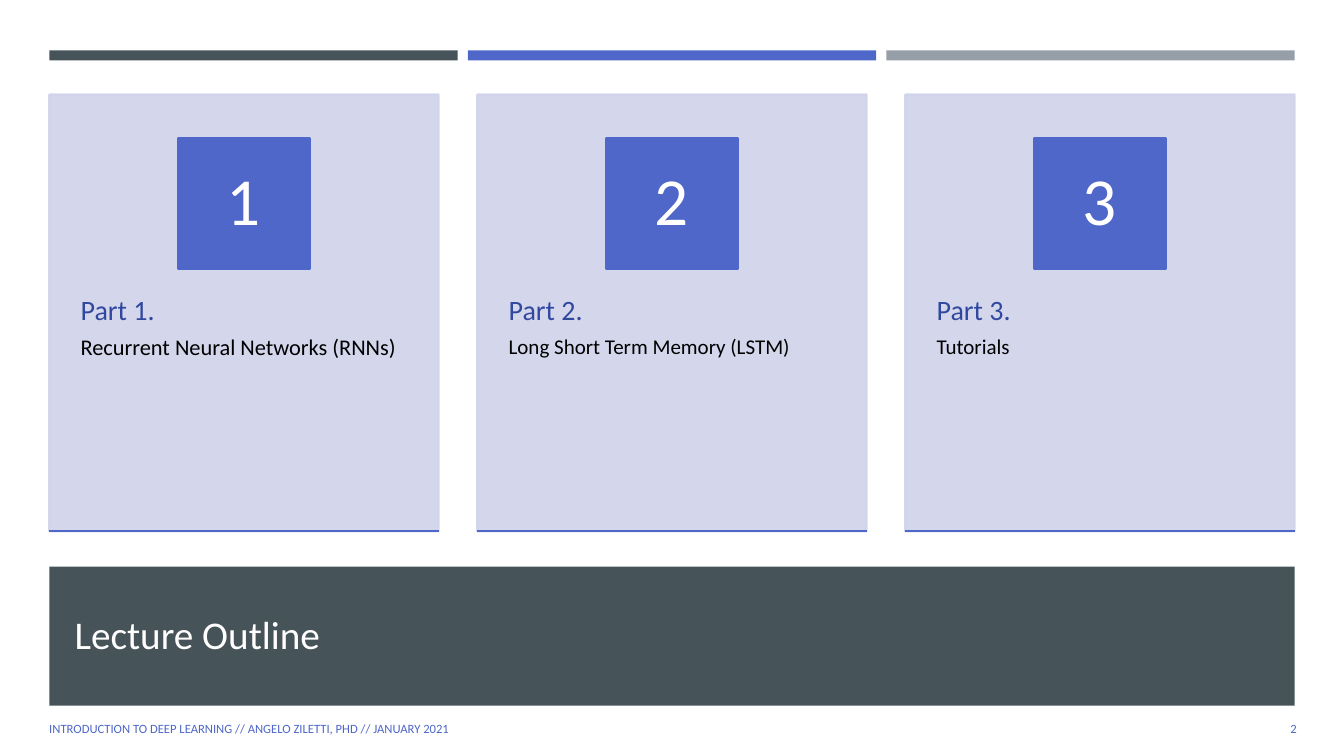
import pptx
import pptx.util
import pptx.dml.color
import pptx.enum.shapes
import pptx.enum.text
import pptx.oxml
import pptx.oxml.ns

Inches = pptx.util.Inches
Pt = pptx.util.Pt
RGBColor = pptx.dml.color.RGBColor
Align = pptx.enum.text.PP_ALIGN
Anchor = pptx.enum.text.MSO_ANCHOR

SLATE = RGBColor(0x46, 0x53, 0x59)
BLUE = RGBColor(0x4E, 0x67, 0xC8)
GRAY = RGBColor(0x96, 0x9F, 0xA7)
PALE = RGBColor(0xD0, 0xD3, 0xEB)
NAVY = RGBColor(0x31, 0x48, 0x9F)
IVORY = RGBColor(0xFF, 0xFE, 0xFF)
WHITE = RGBColor(0xFF, 0xFF, 0xFF)
BLACK = RGBColor(0, 0, 0)


class Deck:
    font = "Calibri"
    edge = 1.75

    def __init__(self, prs):
        self.slide = prs.slides.add_slide(prs.slide_layouts[5])
        self.shapes = self.slide.shapes

    def fade(self, box, alpha):
        for color in box._element.spPr.iter(pptx.oxml.ns.qn("a:srgbClr")):
            color.append(pptx.oxml.parse_xml(
                f'<a:alpha {pptx.oxml.ns.nsdecls("a")} val="{alpha * 1000}"/>'))

    def rect(self, x, y, w, h, color, line=False, alpha=None):
        kind = pptx.enum.shapes.MSO_SHAPE.RECTANGLE
        box = self.shapes.add_shape(kind, Inches(x), Inches(y), Inches(w), Inches(h))
        box.shadow.inherit = False
        box.fill.solid()
        box.fill.fore_color.rgb = color
        if line:
            box.line.color.rgb = color
            box.line.width = Pt(self.edge)
        else:
            box.line.fill.background()
        if alpha:
            self.fade(box, alpha)
        return box

    def rule(self, x, y, w, color):
        kind = pptx.enum.shapes.MSO_CONNECTOR.STRAIGHT
        line = self.shapes.add_connector(
            kind, Inches(x), Inches(y), Inches(x + w), Inches(y))
        line.line.color.rgb = color
        line.line.width = Pt(self.edge)
        line._element.spPr.append(pptx.oxml.parse_xml(
            f'<a:effectLst {pptx.oxml.ns.nsdecls("a")}/>'))

    def label(self, frame, rows, anchor=Anchor.MIDDLE, align=Align.LEFT,
              pads=(0.1, 0.05), space=None, after=None):
        frame.word_wrap = True
        frame.auto_size = pptx.enum.text.MSO_AUTO_SIZE.NONE
        frame.vertical_anchor = anchor
        frame.margin_left = frame.margin_right = Inches(pads[0])
        frame.margin_top = frame.margin_bottom = Inches(pads[1])
        for i, (text, size, color) in enumerate(rows):
            para = frame.add_paragraph() if i else frame.paragraphs[0]
            para.text = text
            para.alignment = align
            para.line_spacing = space
            para.space_after = after
            para.font.name = self.font
            para.font.size = Pt(size)
            para.font.color.rgb = color

    def text(self, x, y, w, h, rows, **style):
        box = self.shapes.add_textbox(Inches(x), Inches(y), Inches(w), Inches(h))
        self.label(box.text_frame, rows, **style)

    def title(self, x, y, w, h, text, size, color):
        head = self.shapes.title
        head.left, head.top = Inches(x), Inches(y)
        head.width, head.height = Inches(w), Inches(h)
        self.label(head.text_frame, [(text, size, color)])

    def card(self, x, num, topic, size):
        top, wide, high, side = 0.94, 3.86, 4.33, 1.3
        self.rect(x, top, wide, high, PALE, line=True, alpha=90)
        self.text(x, 2.58, wide, 2.6,
                  [(f"Part {num}.", 20, NAVY), (topic, size, BLACK)],
                  anchor=Anchor.TOP, pads=(0.31, 0.36), space=0.9, after=Pt(7))
        badge = self.rect(x + (wide - side) / 2, 1.37, side, side, BLUE, line=True)
        self.label(badge.text_frame, [(str(num), 48, WHITE)],
                   align=Align.CENTER, pads=(0.1, 0.01), space=0.9)
        self.rule(x, top + high, wide, BLUE)


def main():
    prs = pptx.Presentation()
    prs.slide_width, prs.slide_height = Inches(13.33), Inches(7.5)
    deck = Deck(prs)
    left = 0.49

    band = deck.rect(left, 5.62, 12.35, 1.38, SLATE)
    deck.shapes.title._element.addprevious(band._element)
    deck.title(0.64, 5.76, 12.06, 1.05, "Lecture Outline", 28, IVORY)

    for i, color in enumerate((SLATE, BLUE, GRAY)):
        deck.rect(left + 4.15 * i, 0.5, 4.05, 0.1, color)

    parts = (("Recurrent Neural Networks (RNNs)", 16),
             ("Long Short Term Memory (LSTM)", 15),
             ("Tutorials", 15))
    step = (12.35 - 3.86) / 2
    for i, (topic, size) in enumerate(parts):
        deck.card(left + step * i, i + 1, topic, size)

    foot = "INTRODUCTION TO DEEP LEARNING // ANGELO ZILETTI, PHD // JANUARY 2021"
    deck.text(0.39, 7.03, 7.56, 0.4, [(foot, 9, BLUE)])
    deck.text(11.81, 7.03, 1.15, 0.4, [("2", 9, BLUE)], align=Align.RIGHT)
    prs.save("out.pptx")


if __name__ == "__main__":
    main()
